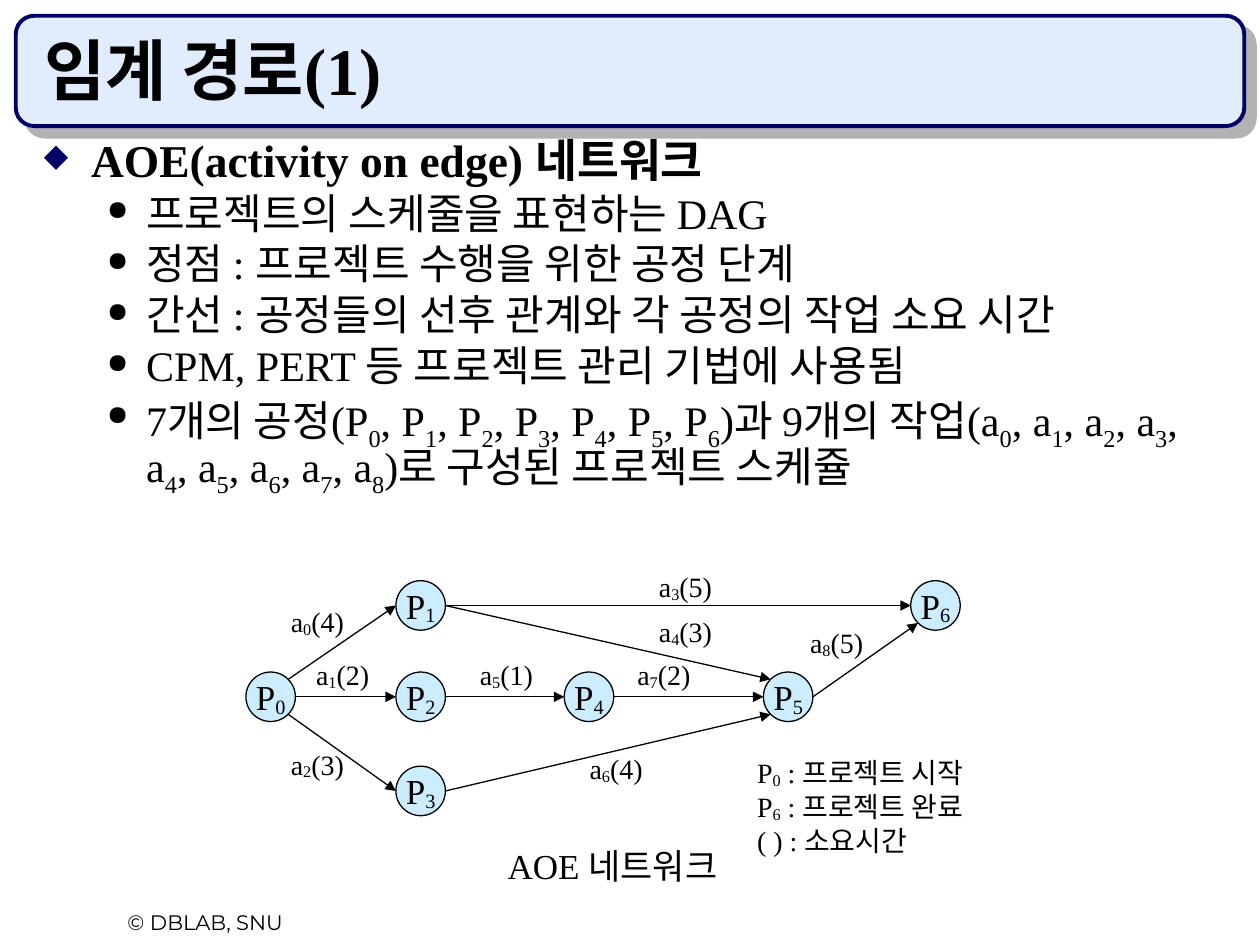
from dataclasses import dataclass
from math import sqrt

from lxml.etree import SubElement
from pptx import Presentation
from pptx.dml.color import RGBColor
from pptx.enum.shapes import MSO_CONNECTOR, MSO_SHAPE
from pptx.enum.text import MSO_ANCHOR, MSO_AUTO_SIZE, PP_ALIGN
from pptx.oxml.ns import qn
from pptx.util import Pt

COLORS = {
    "black": "000000",
    "navy": "000066",
    "banner": "E1ECFF",
    "node": "CCECFF",
    "shadow": "B2B2B2",
}
SERIF = "Times New Roman"
DIAMETER = 28.3
DIAGONAL = sqrt(0.5)
# Unit offsets from a circle's centre to the points where arrows meet it
COMPASS = {
    "E": (1, 0), "W": (-1, 0),
    "NE": (DIAGONAL, -DIAGONAL), "NW": (-DIAGONAL, -DIAGONAL),
    "SE": (DIAGONAL, DIAGONAL), "SW": (-DIAGONAL, DIAGONAL),
}


@dataclass
class Node:
    name: str
    x: float
    y: float

    def point(self, side: str) -> tuple:
        dx, dy = COMPASS[side]
        return Pt(self.x + dx * DIAMETER / 2), Pt(self.y + dy * DIAMETER / 2)


@dataclass
class Edge:
    start: int
    start_side: str
    end: int
    end_side: str
    label: str
    label_x: float
    label_y: float


@dataclass
class Bullet:
    text: str
    level: int = 1


@dataclass
class BulletStyle:
    size: float
    bold: bool
    char: str
    char_color: str
    char_percent: int
    margin: float
    hanging: float
    before: float


TOP, MIDDLE, BOTTOM = 346, 398.2, 452
NODES = [
    Node("P_0", 154.7, MIDDLE),
    Node("P_1", 240.4, TOP),
    Node("P_2", 240.4, MIDDLE),
    Node("P_3", 240.4, BOTTOM),
    Node("P_4", 336.6, MIDDLE),
    Node("P_5", 450.4, MIDDLE),
    Node("P_6", 534.6, TOP),
]
EDGES = [
    Edge(0, "NE", 1, "W", "a_0(4)", 159.1, 342),
    Edge(0, "E", 2, "W", "a_1(2)", 173.5, 372.2),
    Edge(0, "SE", 3, "W", "a_2(3)", 159.1, 423.4),
    Edge(1, "E", 6, "W", "a_3(5)", 369.4, 321.8),
    Edge(1, "E", 5, "NW", "a_4(3)", 369.4, 347.8),
    Edge(2, "E", 4, "W", "a_5(1)", 267.1, 372.2),
    Edge(3, "E", 5, "SW", "a_6(4)", 329.8, 426.2),
    Edge(4, "E", 5, "W", "a_7(2)", 357.1, 372.2),
    Edge(5, "E", 6, "SW", "a_8(5)", 455.8, 354.2),
]
STYLES = [
    BulletStyle(26, True, "◆", "navy", 70, 27, 27, 6.5),
    BulletStyle(24, False, "●", "black", 65, 58.5, 22.5, 6),
]
EVENTS = ", ".join(f"P_{i}" for i in range(7))
ACTIVITIES = ", ".join(f"a_{i}" for i in range(9))
BULLETS = [
    Bullet("AOE(activity on edge) 네트워크", 0),
    Bullet("프로젝트의 스케줄을 표현하는 DAG"),
    Bullet("정점 : 프로젝트 수행을 위한 공정 단계"),
    Bullet("간선 : 공정들의 선후 관계와 각 공정의 작업 소요 시간"),
    Bullet("CPM, PERT 등 프로젝트 관리 기법에 사용됨"),
    Bullet(f"7개의 공정({EVENTS})과 9개의 작업({ACTIVITIES})로 구성된 프로젝트 스케쥴"),
]
LEGEND = ["P_0 : 프로젝트 시작", "P_6 : 프로젝트 완료", "( ) : 소요시간"]


def rgb(name: str) -> RGBColor:
    return RGBColor.from_string(COLORS[name])


def write(p, text: str, size: float, bold: bool = False, drop: int = -10, font: str = SERIF) -> None:
    """Fill a paragraph; the character after each underscore is a subscript."""
    head, *rest = text.split("_")
    pieces = [(head, 0)]
    for part in rest:
        pieces += [(part[0], drop), (part[1:], 0)]
    for piece, baseline in pieces:
        if not piece:
            continue
        r = p.add_run()
        r.text = piece
        r.font.name, r.font.size, r.font.bold = font, Pt(size), bold
        r.font.color.rgb = rgb("black")
        if baseline:
            r.font._element.set("baseline", str(baseline * 1000))


def add_text(s, lines: list, x: float, y: float, w: float, h: float, size: float,
             font: str = SERIF, wrap: bool = False):
    tf = s.shapes.add_textbox(Pt(x), Pt(y), Pt(w), Pt(h)).text_frame
    tf.word_wrap = wrap
    for i, line in enumerate(lines):
        p = tf.paragraphs[0] if i == 0 else tf.add_paragraph()
        write(p, line, size, font=font)
    return tf


def add_panel(s, shape: MSO_SHAPE, box: tuple, fill: str, line: str, width: float):
    sp = s.shapes.add_shape(shape, *(Pt(v) for v in box))
    sp.shadow.inherit = False
    sp.fill.solid()
    sp.fill.fore_color.rgb = rgb(fill)
    sp.line.color.rgb = rgb(line)
    sp.line.width = Pt(width)
    return sp


def add_title(s, text: str) -> None:
    banner = add_panel(s, MSO_SHAPE.ROUNDED_RECTANGLE, (9, 9, 702, 63), "banner", "navy", 2.25)
    effects = banner._element.spPr.find(qn("a:effectLst"))
    shadow = SubElement(effects, qn("a:outerShdw"), dist=str(Pt(8.5)), dir="2700000",
                        algn="ctr", rotWithShape="0")
    SubElement(shadow, qn("a:srgbClr"), val=COLORS["shadow"])
    title = s.shapes.title
    title._element.addprevious(banner._element)  # keep the banner behind the title
    title.left, title.top, title.width, title.height = Pt(18), Pt(18), Pt(678), Pt(48)
    tf = title.text_frame
    tf.auto_size = MSO_AUTO_SIZE.NONE
    tf.vertical_anchor = MSO_ANCHOR.BOTTOM
    tf.paragraphs[0].alignment = PP_ALIGN.LEFT
    write(tf.paragraphs[0], text, 38, bold=True)


def add_bullets(s, bullets: list) -> None:
    tf = s.shapes.add_textbox(Pt(18), Pt(78), Pt(678), Pt(240)).text_frame
    tf.word_wrap = True
    for i, bullet in enumerate(bullets):
        style = STYLES[bullet.level]
        p = tf.paragraphs[0] if i == 0 else tf.add_paragraph()
        p.level, p.line_spacing, p.space_before = bullet.level, 0.8, Pt(style.before)
        pPr = p._p.get_or_add_pPr()
        pPr.set("marL", str(Pt(style.margin)))
        pPr.set("indent", str(-Pt(style.hanging)))
        color = SubElement(pPr, qn("a:buClr"))
        SubElement(color, qn("a:srgbClr"), val=COLORS[style.char_color])
        SubElement(pPr, qn("a:buSzPct"), val=str(style.char_percent * 1000))
        SubElement(pPr, qn("a:buChar"), char=style.char)
        write(p, bullet.text, style.size, style.bold, drop=-25)


def add_node(s, node: Node) -> None:
    box = (node.x - DIAMETER / 2, node.y - DIAMETER / 2, DIAMETER, DIAMETER)
    tf = add_panel(s, MSO_SHAPE.OVAL, box, "node", "black", 0.75).text_frame
    tf.word_wrap = False
    tf.vertical_anchor = MSO_ANCHOR.MIDDLE
    tf.paragraphs[0].alignment = PP_ALIGN.CENTER
    write(tf.paragraphs[0], node.name, 20)


def add_edge(s, edge: Edge) -> None:
    line = s.shapes.add_connector(MSO_CONNECTOR.STRAIGHT,
                                  *NODES[edge.start].point(edge.start_side),
                                  *NODES[edge.end].point(edge.end_side))
    line.line.color.rgb = rgb("black")
    line.line.width = Pt(0.75)
    SubElement(line.line._get_or_add_ln(), qn("a:tailEnd"), type="triangle")
    SubElement(line._element.spPr, qn("a:effectLst"))
    add_text(s, [edge.label], edge.label_x, edge.label_y, 44.6, 26.6, 16)


def main() -> None:
    prs = Presentation()
    prs.slide_width, prs.slide_height = Pt(720), Pt(540)
    s = prs.slides.add_slide(prs.slide_layouts[5])

    # Heading and bullets
    add_title(s, "임계 경로(1)")
    add_bullets(s, BULLETS)

    # Activity network
    for node in NODES:
        add_node(s, node)
    for edge in EDGES:
        add_edge(s, edge)

    # Legend, caption and footer
    add_text(s, LEGEND, 425.5, 428.4, 135.4, 65.5, 16)
    add_text(s, ["AOE 네트워크"], 283, 478.8, 139, 31.7, 20)
    footer = add_text(s, ["© DBLAB, SNU"], 30.2, 516.2, 174.2, 21.6, 12, "Montserrat", wrap=True)
    footer.paragraphs[0].alignment = PP_ALIGN.CENTER
    footer.paragraphs[0].space_before = Pt(7.5)

    prs.save("out.pptx")


if __name__ == "__main__":
    main()
